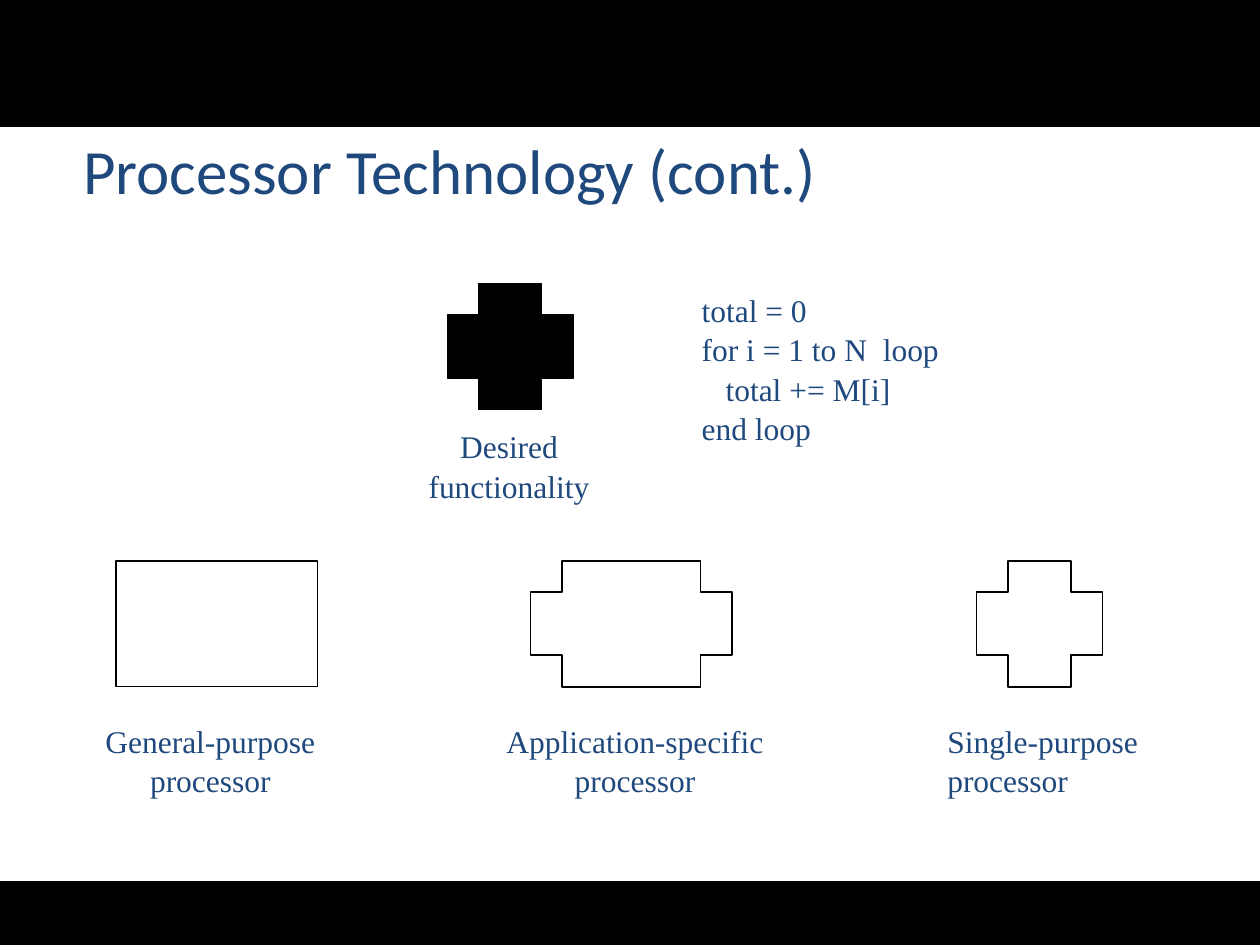
from dataclasses import dataclass

from pptx import Presentation, util as u
from pptx.dml.color import RGBColor
from pptx.enum import shapes, text


@dataclass(frozen=True)
class Theme:
    ink: RGBColor = RGBColor(0x1F, 0x49, 0x7D)
    black: RGBColor = RGBColor(0, 0, 0)
    white: RGBColor = RGBColor(255, 255, 255)
    title_font: str = "Calibri"
    body_font: str = "Times New Roman"
    title_size: float = 36
    body_size: float = 18
    leading: float = 1.04
    thin: float = 0.75
    outline: float = 1


THEME = Theme()
COLUMNS, ROWS = 10, 7.5
CELL = u.Inches(1)
SHAPE_TOP, LABEL_TOP, LABEL_HEIGHT = 4.45, 5.67, 0.75
RECT, PLUS = shapes.MSO_SHAPE.RECTANGLE, shapes.MSO_SHAPE.CROSS
LEFT, CENTER = text.PP_ALIGN.LEFT, text.PP_ALIGN.CENTER


def cells(*lengths):
    """Turn columns and rows of the grid into slide lengths."""
    return [int(length * CELL) for length in lengths]


def add_run(paragraph, words, font, size):
    run = paragraph.add_run()
    run.text = words
    run.font.name = font
    run.font.size = u.Pt(size)
    run.font.color.rgb = THEME.ink


def set_title(slide, words, box):
    title = slide.shapes.title
    title.left, title.top, title.width, title.height = cells(*box)
    frame = title.text_frame
    frame.margin_left = frame.margin_right = 0
    frame.margin_top = frame.margin_bottom = 0
    frame.vertical_anchor = text.MSO_ANCHOR.TOP
    frame.auto_size = text.MSO_AUTO_SIZE.NONE
    frame.paragraphs[0].alignment = LEFT
    add_run(frame.paragraphs[0], words, THEME.title_font, THEME.title_size)


def add_figure(slide, kind, box, fill, line_width):
    figure = slide.shapes.add_shape(kind, *cells(*box))
    figure.shadow.inherit = False
    figure.fill.solid()
    figure.fill.fore_color.rgb = fill
    figure.line.color.rgb = THEME.black
    figure.line.width = u.Pt(line_width)


def add_text(slide, lines, box, align=LEFT, side_margin=0.1):
    """Write (words, indent in columns) pairs, one paragraph each."""
    frame = slide.shapes.add_textbox(*cells(*box)).text_frame
    frame.word_wrap = True
    frame.margin_left = frame.margin_right = u.Inches(side_margin)
    for number, (words, indent) in enumerate(lines):
        paragraph = frame.add_paragraph() if number else frame.paragraphs[0]
        paragraph.alignment = align
        paragraph.line_spacing = THEME.leading
        if indent:
            paragraph._p.get_or_add_pPr().set("marL", str(int(indent * CELL)))
        add_run(paragraph, words, THEME.body_font, THEME.body_size)


def add_processor(slide, kind, left, width, label, label_left, label_width, align):
    add_figure(slide, kind, (left, SHAPE_TOP, width, 1), THEME.white, THEME.outline)
    label_box = (label_left, LABEL_TOP, label_width, LABEL_HEIGHT)
    add_text(slide, [(label, 0)], label_box, align)


def main():
    deck = Presentation()
    deck.slide_width, deck.slide_height = cells(COLUMNS, ROWS)
    slide = deck.slides.add_slide(deck.slide_layouts[5])

    for top, height in ((0, 1), (7, 0.5)):
        add_figure(slide, RECT, (0, top, COLUMNS, height), THEME.black, THEME.thin)
    set_title(slide, "Processor Technology (cont.)", (0.66, 1.04, 8.33, 0.61))

    add_figure(slide, PLUS, (3.55, 2.25, 1, 1), THEME.black, THEME.thin)
    add_text(slide, [("Desired functionality", 0)], (3, 3.33, 2.08, 0.72),
             CENTER, side_margin=0)
    pseudocode = [("total = 0", 0), ("for i = 1 to N  loop", 0),
                  ("total += M[i]", 0.19), ("end loop", 0)]
    add_text(slide, pseudocode, (5.47, 2.25, 2.45, 1.7))

    processors = (
        (RECT, 0.92, 1.6, "General-purpose processor", 0.67, 2, CENTER),
        (PLUS, 4.21, 1.6, "Application-specific processor", 3.83, 2.42, CENTER),
        (PLUS, 7.75, 1, "Single-purpose processor", 7.42, 1.83, LEFT),
    )
    for processor in processors:
        add_processor(slide, *processor)

    deck.save("out.pptx")


if __name__ == "__main__":
    main()
